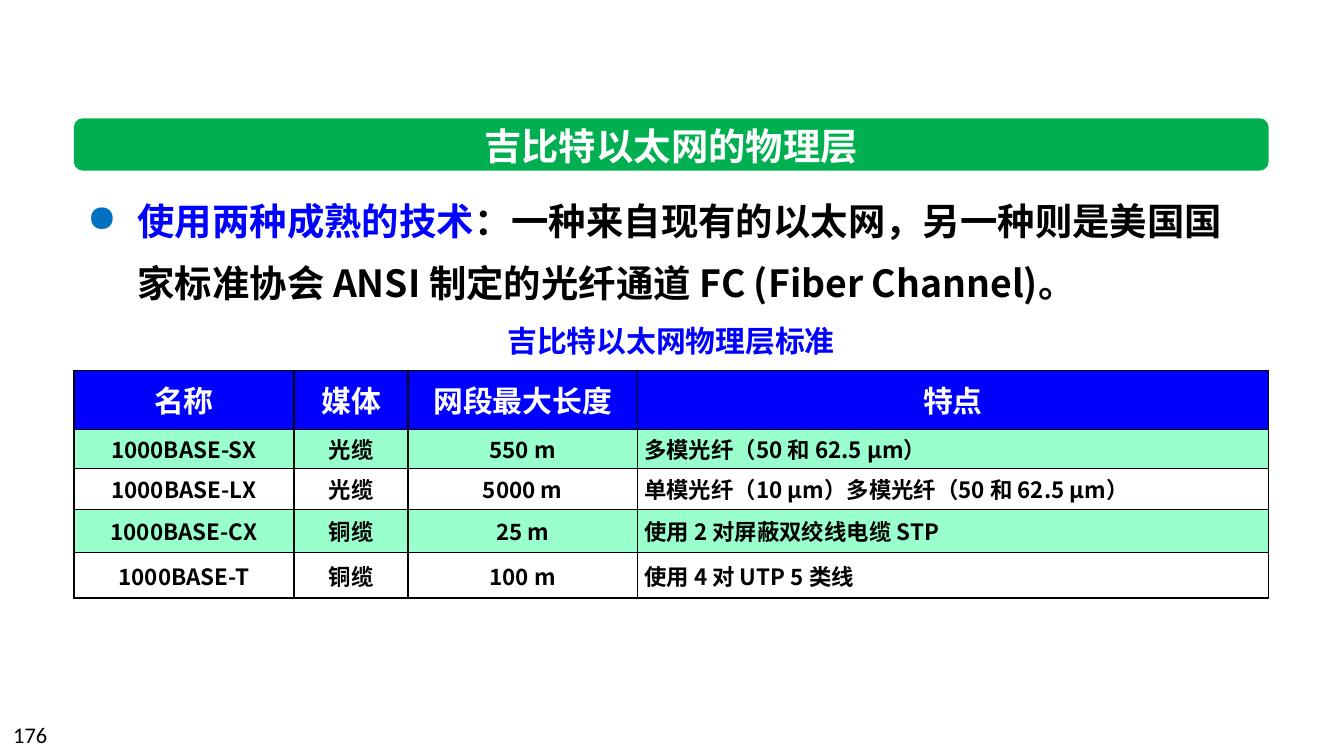
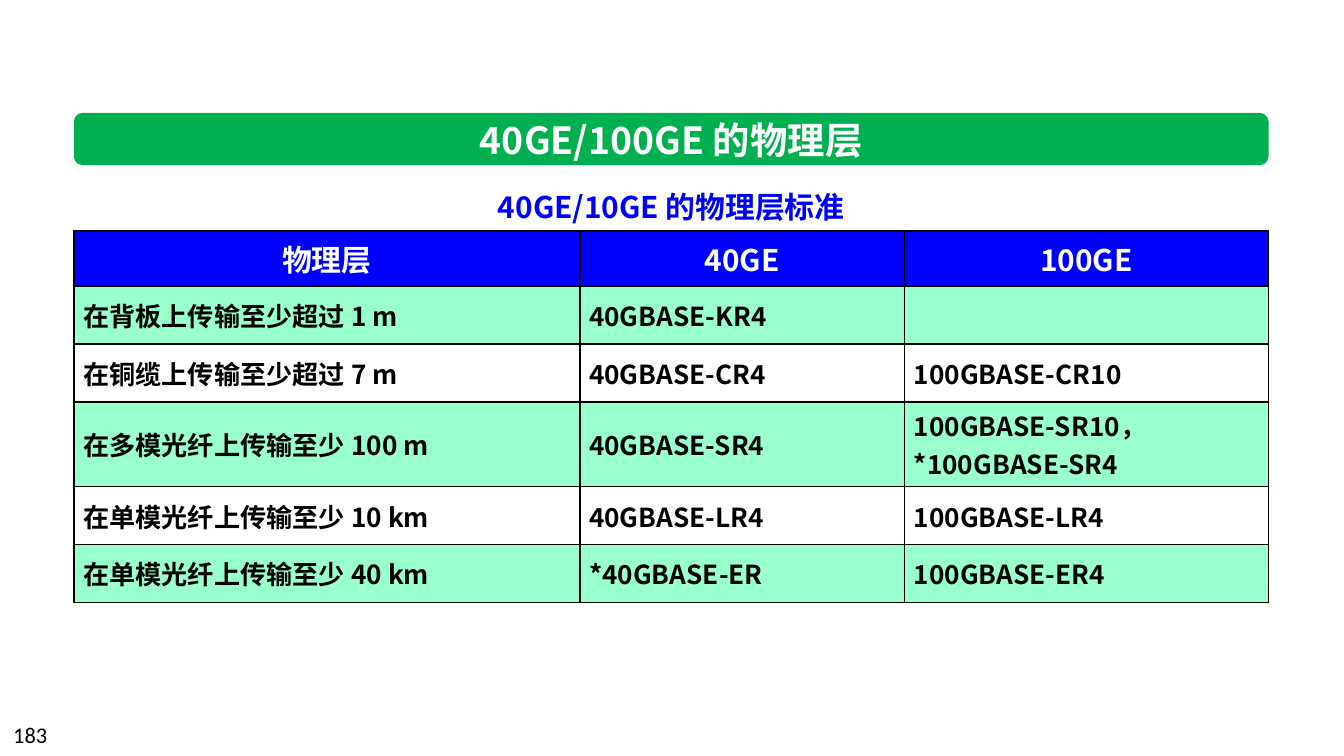
import pptx
import pptx.dml.color
import pptx.enum.shapes
import pptx.enum.text
import pptx.oxml.ns
import pptx.util
from lxml import etree

Pt = pptx.util.Pt
ALIGN = pptx.enum.text.PP_ALIGN
MIDDLE = pptx.enum.text.MSO_ANCHOR.MIDDLE

# Shared look
BLACK, WHITE, BLUE = "000000", "FFFFFF", "0000FF"
GREEN, MINT, BULLET_BLUE = "00B050", "99FFCC", "0070C0"
CJK, LATIN = "Noto Sans CJK SC", "Calibri"
SLIDE_WIDTH, SLIDE_HEIGHT = 720, 405
LEFT, WIDTH = 39.6, 640


def rgb(value):
    return pptx.dml.color.RGBColor.from_string(value)


def add_element(parent, tag, **attributes):
    return etree.SubElement(parent, pptx.oxml.ns.qn(tag), attributes)


def apply_format(target, values):
    for name, value in values.items():
        setattr(target, name, value)


def write_run(paragraph, text, size, color, bold=True, face=CJK):
    run = paragraph.add_run()
    run.text = text
    apply_format(run.font, {"size": Pt(size), "bold": bold, "name": face})
    run.font.color.rgb = rgb(color)
    add_element(run.font._element, "a:ea", typeface=face)


def add_label(slide, box, text, size, color, align=ALIGN.CENTER, wrap=False, **style):
    label = slide.shapes.add_textbox(*map(Pt, box)).text_frame
    apply_format(label, {"word_wrap": wrap, "vertical_anchor": MIDDLE})
    label.paragraphs[0].alignment = align
    write_run(label.paragraphs[0], text, size, color, **style)


def add_centered_label(slide, top, width, height, *text_style):
    left = LEFT + (WIDTH - width) / 2
    add_label(slide, (left, top, width, height), *text_style)


def add_title(slide, top, text, text_width):
    band = slide.shapes.add_shape(
        pptx.enum.shapes.MSO_SHAPE.ROUNDED_RECTANGLE,
        Pt(LEFT), Pt(top), Pt(WIDTH), Pt(28))
    band.shadow.inherit = False
    band.fill.solid()
    band.fill.fore_color.rgb = rgb(GREEN)
    band.line.fill.background()
    add_centered_label(slide, top - 1.5, text_width, 31.7, text, 20, WHITE)


def add_caption(slide, top, text, text_width):
    add_centered_label(slide, top, text_width, 26.6, text, 16, BLUE)


def add_page_number(slide, number):
    add_label(slide, (0, 383, 168, 21.6), number, 12, BLACK,
              align=ALIGN.LEFT, wrap=True, bold=False, face=LATIN)


def add_bullet_text(slide, top, height, runs):
    body = slide.shapes.add_textbox(Pt(LEFT), Pt(top), Pt(WIDTH), Pt(height)).text_frame
    body.word_wrap = True
    paragraph = body.paragraphs[0]
    paragraph.line_spacing = Pt(33)
    properties = paragraph._p.get_or_add_pPr()
    indent = Pt(27)
    properties.set("marL", str(indent))
    properties.set("indent", str(-indent))
    color = add_element(properties, "a:buClr")
    add_element(color, "a:srgbClr", val=BULLET_BLUE)
    add_element(properties, "a:buChar", char="●")
    for text, text_color in runs:
        write_run(paragraph, text, 20, text_color)


def outline_cell(cell):
    properties = cell._tc.get_or_add_tcPr()
    for side in "LRTB":
        border = add_element(properties, f"a:ln{side}", w=str(Pt(1)))
        fill = add_element(border, "a:solidFill")
        add_element(fill, "a:srgbClr", val=BLACK)


def fill_cell(cell, color):
    if color:
        cell.fill.solid()
        cell.fill.fore_color.rgb = rgb(color)
    else:
        cell.fill.background()


def add_standards_table(slide, top, widths, heights, rows, aligns, size, inset, plain_fill):
    table = slide.shapes.add_table(
        len(rows), len(widths), Pt(LEFT), Pt(top), Pt(sum(widths)), Pt(sum(heights))).table
    apply_format(table, {"first_row": False, "horz_banding": False})
    for column, width in zip(table.columns, widths):
        column.width = Pt(width)
    for index, (height, texts) in enumerate(zip(heights, rows)):
        table.rows[index].height = Pt(height)
        header = index == 0
        row_fill = BLUE if header else MINT if index % 2 else plain_fill
        for column, text in enumerate(texts):
            cell = table.cell(index, column)
            outline_cell(cell)
            fill_cell(cell, row_fill)
            apply_format(cell, {"margin_left": Pt(inset), "margin_right": Pt(inset),
                                "margin_top": 0, "margin_bottom": 0,
                                "vertical_anchor": MIDDLE})
            for number, line in enumerate(text.split("\n") if text else []):
                frame = cell.text_frame
                paragraph = frame.add_paragraph() if number else frame.paragraphs[0]
                paragraph.alignment = ALIGN.CENTER if header else aligns[column]
                write_run(paragraph, line, 16 if header else size,
                          WHITE if header else BLACK)


GIGABIT_STANDARDS = [
    ("名称", "媒体", "网段最大长度", "特点"),
    ("1000BASE-SX", "光缆", "550 m", "多模光纤（50 和 62.5 μm）"),
    ("1000BASE-LX", "光缆", "5000 m", "单模光纤（10 μm）多模光纤（50 和 62.5 μm）"),
    ("1000BASE-CX", "铜缆", "25 m", "使用 2 对屏蔽双绞线电缆 STP"),
    ("1000BASE-T", "铜缆", "100 m", "使用 4 对 UTP 5 类线"),
]
FAST_STANDARDS = [
    ("物理层", "40GE", "100GE"),
    ("在背板上传输至少超过 1 m", "40GBASE-KR4", ""),
    ("在铜缆上传输至少超过 7 m", "40GBASE-CR4", "100GBASE-CR10"),
    ("在多模光纤上传输至少 100 m", "40GBASE-SR4", "100GBASE-SR10，\n*100GBASE-SR4"),
    ("在单模光纤上传输至少 10 km", "40GBASE-LR4", "100GBASE-LR4"),
    ("在单模光纤上传输至少 40 km", "*40GBASE-ER", "100GBASE-ER4"),
]


def build_gigabit_slide(slide):
    add_bullet_text(slide, 93.6, 74, [
        ("使用两种成熟的技术", BLUE),
        ("：一种来自现有的以太网，另一种则是美国国家标准协会 ANSI 制定的光纤通道 "
         "FC (Fiber Channel)。", BLACK)])
    add_title(slide, 63.4, "吉比特以太网的物理层", 222.5)
    add_standards_table(
        slide, 198.5, (118, 61, 123, 338), (31.5, 21, 22, 23, 24.5), GIGABIT_STANDARDS,
        [ALIGN.CENTER] * 3 + [ALIGN.LEFT], size=12, inset=3.6, plain_fill=WHITE)
    add_caption(slide, 169.2, "吉比特以太网物理层标准", 192)
    add_page_number(slide, "176")


def build_fast_slide(slide):
    add_title(slide, 60.5, "40GE/100GE 的物理层", 227.5)
    add_caption(slide, 97.2, "40GE/10GE 的物理层标准", 207)
    add_standards_table(
        slide, 123.8, (271, 174, 195), (29.5, 31, 31, 45.5, 31, 31), FAST_STANDARDS,
        [ALIGN.JUSTIFY] * 3, size=14, inset=5, plain_fill=None)
    add_page_number(slide, "183")


def main():
    deck = pptx.Presentation()
    apply_format(deck, {"slide_width": Pt(SLIDE_WIDTH), "slide_height": Pt(SLIDE_HEIGHT)})
    for build in (build_gigabit_slide, build_fast_slide):
        build(deck.slides.add_slide(deck.slide_layouts[6]))
    deck.save("out.pptx")


if __name__ == "__main__":
    main()
